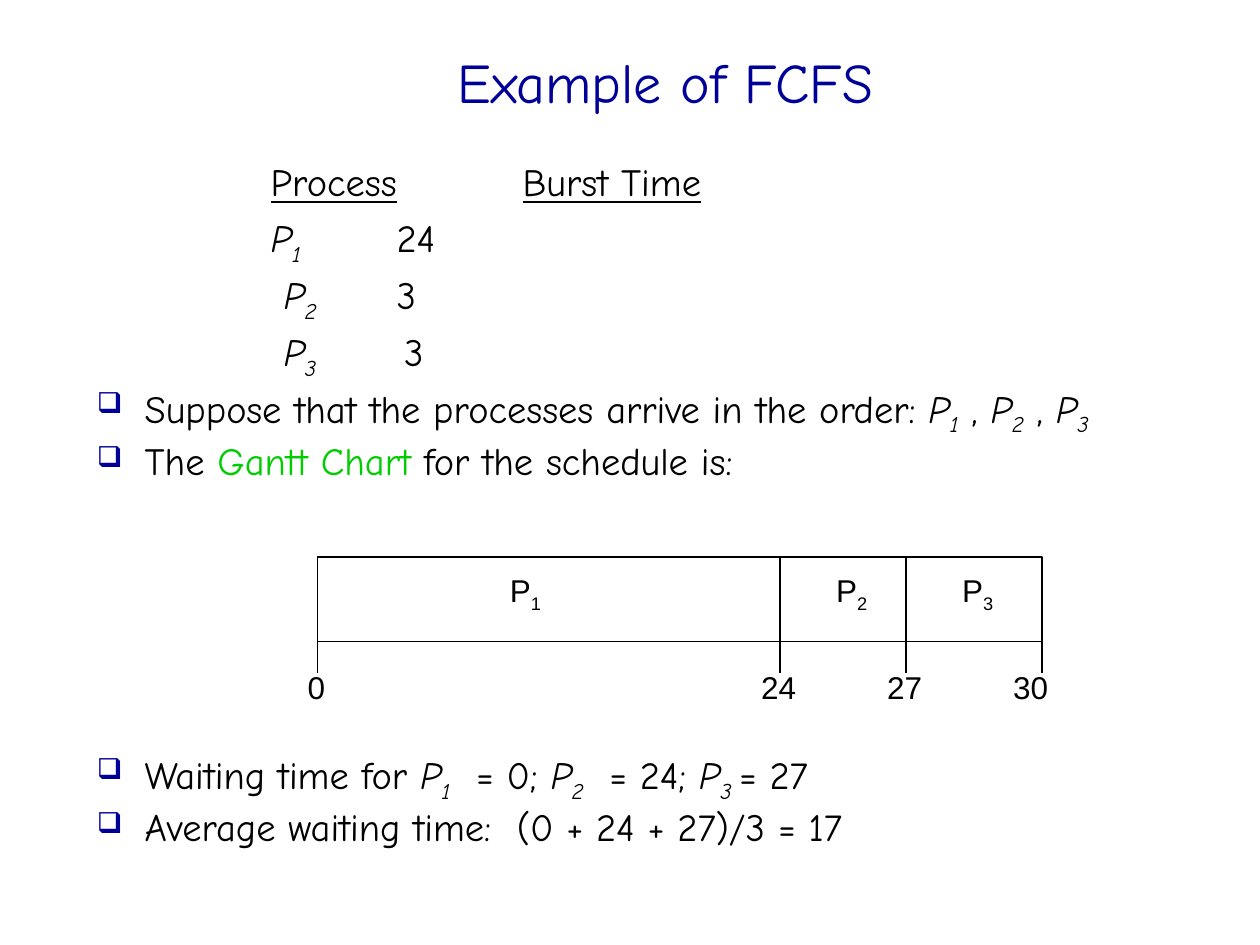
import pptx
import pptx.dml.color
import pptx.enum.shapes
import pptx.enum.text
import pptx.oxml
import pptx.oxml.ns
import pptx.util
from pptx.util import Inches

BLACK, WHITE, BLUE, GREEN = "000000", "FFFFFF", "000099", "00CC00"
ALIGN = pptx.enum.text.PP_ALIGN
ANCHOR = pptx.enum.text.MSO_ANCHOR
BODY_FONT = "Comic Neue"


def color(value):
    return pptx.dml.color.RGBColor.from_string(value)


def set_attributes(target, values):
    for name, value in values.items():
        setattr(target, name, value)


def add_text_box(shapes, left, top, width, height, **frame_format):
    box = shapes.add_textbox(Inches(left), Inches(top), Inches(width), Inches(height))
    set_attributes(box.text_frame, {"word_wrap": True, **frame_format})
    return box.text_frame


def add_run(paragraph, text, font_color=BLACK, subscript=False, **font_format):
    run = paragraph.add_run()
    run.text = text
    set_attributes(run.font, font_format)
    run.font.color.rgb = color(font_color)
    if subscript:
        run._r.get_or_add_rPr().set("baseline", "-25000")


def process(number, after=""):
    """Runs for an italic process name with its number as a subscript."""
    return [("P", {"italic": True}),
            (number + after, {"italic": True, "subscript": True})]


def set_indent(paragraph, left, first_line=0):
    properties = paragraph._p.get_or_add_pPr()
    for name, value in {"marL": left, "indent": first_line, "defTabSz": 1}.items():
        properties.set(name, str(Inches(value)))


def add_bullet(paragraph):
    namespace = pptx.oxml.ns.nsdecls("a")
    for markup in (f'<a:buClr {namespace}><a:srgbClr val="{BLUE}"/></a:buClr>',
                   f'<a:buSzPct {namespace} val="75000"/>',
                   f'<a:buChar {namespace} char="❑"/>'):
        paragraph._p.get_or_add_pPr().append(pptx.oxml.parse_xml(markup))


def add_title(slide, left, top, width, height):
    frame = add_text_box(slide.shapes, left, top, width, height,
                         vertical_anchor=ANCHOR.MIDDLE)
    paragraph = frame.paragraphs[0]
    paragraph.alignment = ALIGN.CENTER
    add_run(paragraph, "Example of FCFS", BLUE, name=BODY_FONT, size=pptx.util.Pt(32))


def add_body(slide, left, top, width, height):
    """Process list and bullets, with room left for the chart in between."""
    underlined = {"underline": True}
    process_rows = [
        [("Process", underlined), ("\t", {}), ("Burst Time", underlined)],
        process("1", "\t") + [("24", {})],
        [(" ", {})] + process("2", " \t") + [("3", {})],
        [(" ", {})] + process("3", "\t ") + [("3", {})],
    ]
    bullets = [
        [("Suppose that the processes arrive in the order: ", {})] + process("1")
        + [(" , ", {})] + process("2") + [(" , ", {})] + process("3"),
        [("The ", {}), ("Gantt Chart", {"font_color": GREEN}),
         (" for the schedule is:", {})],
        [("Waiting time for ", {})] + process("1") + [("  = 0; ", {})]
        + process("2") + [("  = 24; ", {})] + process("3", " ") + [("= 27", {})],
        [("Average waiting time:  (0 + 24 + 27)/3 = 17", {})],
    ]
    chart_gap = 153
    spacing = [5.5] * 6 + [chart_gap, 5.5]

    frame = add_text_box(slide.shapes, left, top, width, height)
    for index, runs in enumerate(process_rows + bullets):
        paragraph = frame.add_paragraph() if index else frame.paragraphs[0]
        set_attributes(paragraph, {"line_spacing": 0.9,
                                   "space_before": pptx.util.Pt(spacing[index])})
        if index < len(process_rows):
            set_indent(paragraph, 1.38)
        else:
            set_indent(paragraph, 0.38, -0.38)
            add_bullet(paragraph)
        for text, run_format in runs:
            add_run(paragraph, text, name=BODY_FONT, size=pptx.util.Pt(22), **run_format)


def add_line(shapes, x, top, bottom):
    line = shapes.add_connector(pptx.enum.shapes.MSO_CONNECTOR.STRAIGHT,
                                Inches(x), Inches(top), Inches(x), Inches(bottom))
    line.line.color.rgb = color(BLACK)
    line.line.width = pptx.util.Pt(0.75)
    line._element.spPr.append(
        pptx.oxml.parse_xml(f'<a:effectLst {pptx.oxml.ns.nsdecls("a")}/>'))


def add_chart_label(shapes, center, top, width, height, text, subscript=""):
    frame = add_text_box(shapes, center - width / 2, top, width, height,
                         word_wrap=False, vertical_anchor=ANCHOR.MIDDLE,
                         auto_size=pptx.enum.text.MSO_AUTO_SIZE.SHAPE_TO_FIT_TEXT)
    paragraph = frame.paragraphs[0]
    paragraph.alignment = ALIGN.CENTER
    font_format = {"name": "Arial", "size": pptx.util.Pt(18)}
    add_run(paragraph, text, **font_format)
    if subscript:
        add_run(paragraph, subscript, subscript=True, **font_format)


def add_gantt_chart(slide, left, top, width, height):
    shapes = slide.shapes.add_group_shape().shapes
    bottom = top + height
    bar = shapes.add_shape(pptx.enum.shapes.MSO_SHAPE.RECTANGLE,
                           Inches(left), Inches(top), Inches(width), Inches(height))
    bar.shadow.inherit = False
    bar.fill.solid()
    bar.fill.fore_color.rgb = color(WHITE)
    bar.line.color.rgb = color(BLACK)
    bar.line.width = pptx.util.Pt(0.75)

    for number, offset in (("1", 1.65), ("2", 4.24), ("3", 5.24)):
        add_chart_label(shapes, left + offset, top + 0.06, 0.45, 0.44, "P", number)

    # Time, tick offset, label offset, label width
    for time, tick, label, label_width in (("0", 0, -0.01, 0.34),
                                           ("24", 3.67, 3.66, 0.48),
                                           ("27", 4.67, 4.66, 0.48),
                                           ("30", width, 5.66, 0.48)):
        if 0 < tick < width:
            add_line(shapes, left + tick, top, bottom)
        add_line(shapes, left + tick, bottom, bottom + 0.25)
        add_chart_label(shapes, left + label, bottom + 0.16, label_width, 0.4, time)


def main():
    presentation = pptx.Presentation()
    set_attributes(presentation, {"slide_width": Inches(10), "slide_height": Inches(7.5)})
    slide = presentation.slides.add_slide(presentation.slide_layouts[6])
    add_title(slide, 0.72, 0.39, 9.12, 0.5)
    add_body(slide, 0.67, 1.25, 8.27, 5.8)
    add_gantt_chart(slide, 2.52, 4.42, 5.75, 0.67)
    presentation.save("out.pptx")


if __name__ == "__main__":
    main()
